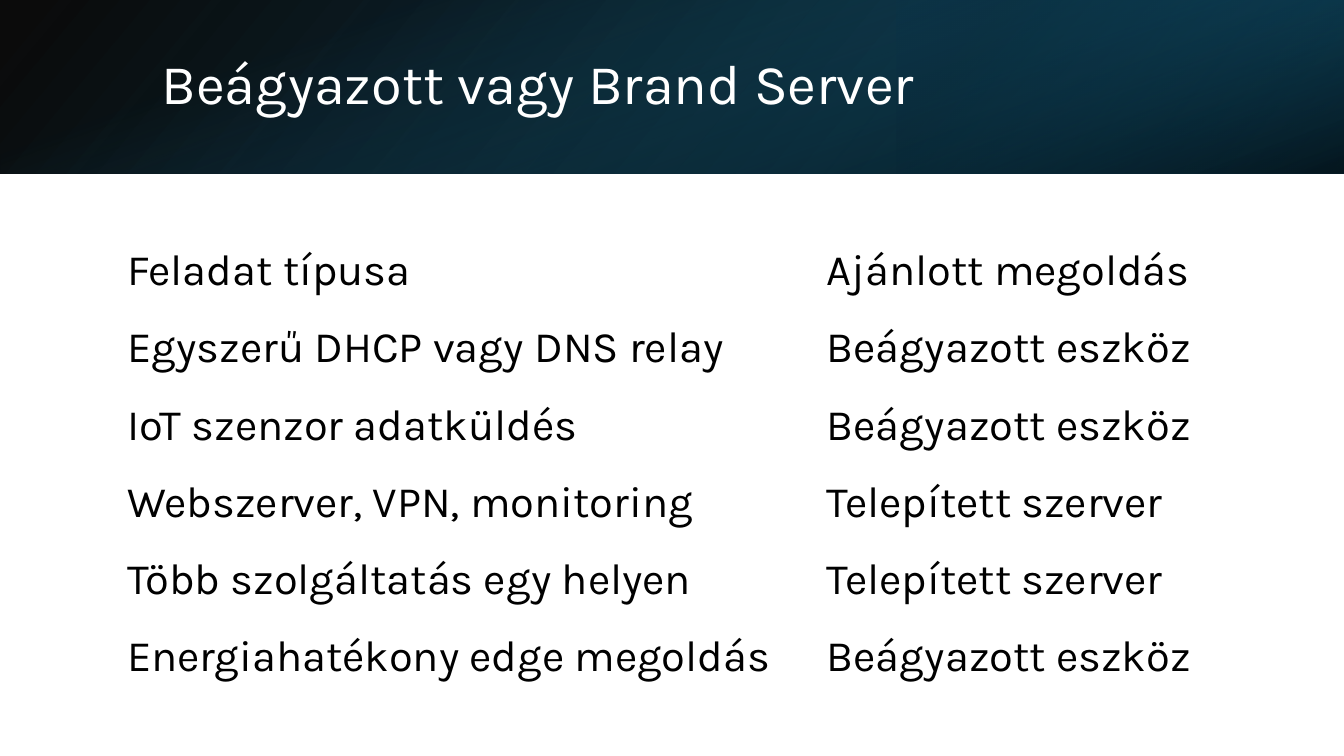
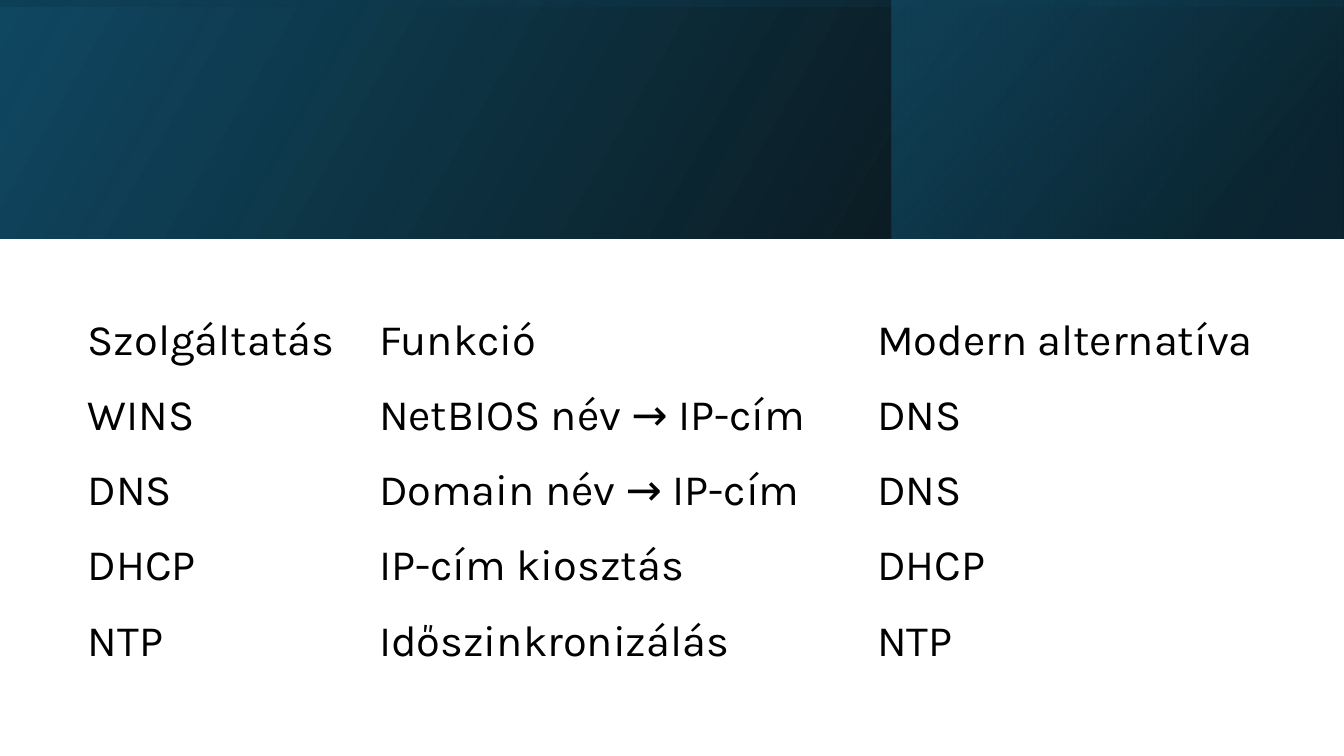
import pptx
import pptx.util
import pptx.dml.color
import pptx.enum.shapes
import pptx.enum.text
import pptx.oxml
import pptx.oxml.ns

Inches, Pt = pptx.util.Inches, pptx.util.Pt
RGB = pptx.dml.color.RGBColor.from_string

COLORS = {"black": "000000", "white": "FFFFFF", "blue": "104862",
          "navy": "0B3041", "teal": "156082"}
FONT = "Karla"
TITLE_PT, TABLE_PT = 40, 31
SLIDE_W, SLIDE_H = 13.33, 7.5
CELL_SIDE = 0.17

# Gradient stops: (position %, colour, opacity %); angles are clockwise degrees.
BASE_STOPS = [(0, "black", 96), (100, "blue", 100)]

SLIDES = [
    {
        "title": "Beágyazott vagy Brand Server",
        "band_height": 1.72,
        "base": {"stops": BASE_STOPS, "angle": 140, "flip": True},
        "corner": {"left": 8.89, "width": 4.44, "rotation": 180, "flip": True, "angle": 320,
                   "stops": [(19, "navy", 68), (100, "teal", 79)]},
        "overlay": {"rotation": 90, "angle": 340,
                    "stops": [(23, "teal", 0), (99, "black", 74)]},
        "table": {
            "left": 1.09, "top": 2.31, "row_height": 0.765, "margin": 0.09,
            "columns": [6.94, 4.24],
            "rows": [
                ("Feladat típusa", "Ajánlott megoldás"),
                ("Egyszerű DHCP vagy DNS relay", "Beágyazott eszköz"),
                ("IoT szenzor adatküldés", "Beágyazott eszköz"),
                ("Webszerver, VPN, monitoring", "Telepített szerver"),
                ("Több szolgáltatás egy helyen", "Telepített szerver"),
                ("Energiahatékony edge megoldás", "Beágyazott eszköz"),
            ],
        },
    },
    {
        "title": None,
        "band_height": 2.37,
        "base": {"stops": BASE_STOPS, "angle": 330, "flip": True},
        "corner": {"left": 8.84, "width": 4.48, "flip": True, "angle": 320,
                   "stops": [(19, "navy", 68), (100, "teal", 48)]},
        "overlay": {"rotation": 270, "flip": True, "angle": 350,
                    "stops": [(23, "blue", 16), (99, "black", 45)]},
        "table": {
            "left": 0.7, "top": 3.01, "row_height": 0.746, "margin": 0.08,
            "columns": [2.89, 4.94, 4.12],
            "rows": [
                ("Szolgáltatás", "Funkció", "Modern alternatíva"),
                ("WINS", "NetBIOS név → IP-cím", "DNS"),
                ("DNS", "Domain név → IP-cím", "DNS"),
                ("DHCP", "IP-cím kiosztás", "DHCP"),
                ("NTP", "Időszinkronizálás", "NTP"),
            ],
        },
    },
]


def add_text(p, text, size, color):
    r = p.add_run()
    r.text = text
    r.font.name = FONT
    r.font.size = Pt(size)
    r.font.color.rgb = RGB(COLORS[color])


def gradient_fill(stops, angle):
    gs = "".join(
        f'<a:gs pos="{pos * 1000}"><a:srgbClr val="{COLORS[color]}">'
        f'<a:alpha val="{opacity * 1000}"/></a:srgbClr></a:gs>'
        for pos, color, opacity in stops)
    return pptx.oxml.parse_xml(
        f'<a:gradFill {pptx.oxml.ns.nsdecls("a")} rotWithShape="1"><a:gsLst>{gs}</a:gsLst>'
        f'<a:lin ang="{angle * 60000}" scaled="0"/></a:gradFill>')


def add_gradient_rect(s, left, top, width, height, stops, angle, rotation=0, flip=False):
    sp = s.shapes.add_shape(pptx.enum.shapes.MSO_SHAPE.RECTANGLE, Inches(left), Inches(top),
                            Inches(width), Inches(height))
    sp.shadow.inherit = False
    sp.line.fill.background()
    sp.rotation = rotation
    props = sp._element.spPr
    if flip:
        props.xfrm.set("flipH", "1")
    props.find(pptx.oxml.ns.qn("a:prstGeom")).addnext(gradient_fill(stops, angle))


def add_band(s, spec_):
    height = spec_["band_height"]
    inset = (SLIDE_W - height) / 2
    add_gradient_rect(s, 0, 0, SLIDE_W, height, **spec_["base"])
    add_gradient_rect(s, top=0, height=height, **spec_["corner"])
    # Turned a quarter, this upright strip covers the whole band.
    add_gradient_rect(s, inset, -inset, height, SLIDE_W, **spec_["overlay"])


def add_title(s, text):
    title = s.shapes.title
    title.left, title.top = Inches(1.5), Inches(0.38)
    title.width, title.height = Inches(10.98), Inches(0.96)
    s.shapes._spTree.append(title._element)  # in front of the band
    tf = title.text_frame
    tf.auto_size = pptx.enum.text.MSO_AUTO_SIZE.NONE
    tf.vertical_anchor = pptx.enum.text.MSO_ANCHOR.MIDDLE
    p = tf.paragraphs[0]
    p.alignment = pptx.enum.text.PP_ALIGN.LEFT
    p.line_spacing = 0.9
    add_text(p, text, TITLE_PT, "white")


def add_plain_table(s, left, top, row_height, margin, columns, rows):
    table = s.shapes.add_table(len(rows), len(columns), Inches(left), Inches(top),
                               Inches(sum(columns)), Inches(row_height * len(rows))).table
    table.first_row = table.horz_banding = False
    for column, width in zip(table.columns, columns):
        column.width = Inches(width)
    for row, texts in zip(table.rows, rows):
        row.height = Inches(row_height)
        for cell, text in zip(row.cells, texts):
            cell.fill.background()
            cell.vertical_anchor = pptx.enum.text.MSO_ANCHOR.MIDDLE
            cell.margin_left = cell.margin_right = Inches(CELL_SIDE)
            cell.margin_top = cell.margin_bottom = Inches(margin)
            add_text(cell.text_frame.paragraphs[0], text, TABLE_PT, "black")


def main():
    prs = pptx.Presentation()
    prs.slide_width, prs.slide_height = Inches(SLIDE_W), Inches(SLIDE_H)
    title_only, blank = prs.slide_layouts[5], prs.slide_layouts[6]
    for content in SLIDES:
        s = prs.slides.add_slide(title_only if content["title"] else blank)
        add_band(s, content)
        if content["title"]:
            add_title(s, content["title"])
        add_plain_table(s, **content["table"])
    prs.save("out.pptx")


if __name__ == "__main__":
    main()
